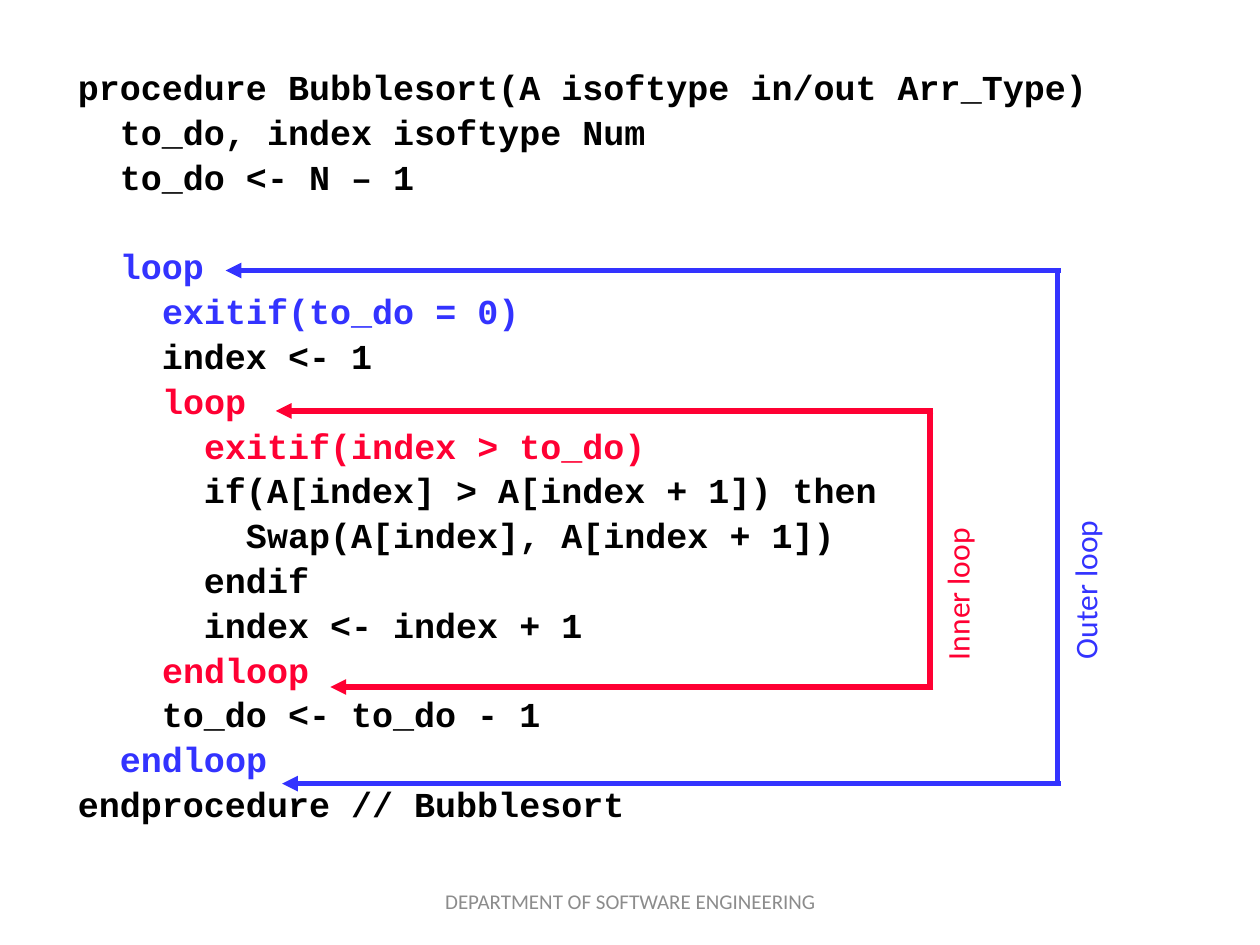
from dataclasses import dataclass
from lxml.etree import SubElement
from pptx import Presentation
from pptx.dml.color import RGBColor
from pptx.enum.shapes import MSO_CONNECTOR
from pptx.enum.text import MSO_ANCHOR, PP_ALIGN
from pptx.oxml.ns import qn
from pptx.util import Pt


@dataclass(frozen=True)
class Theme:
    """Colours, fonts and type sizes of the slide."""
    ink: str = "000000"
    outer: str = "3333FF"
    inner: str = "FF0033"
    grey: str = "8C8C8C"
    mono: str = "Courier New"
    sans: str = "Calibri"
    code: int = 20
    label: int = 18
    foot: int = 12
    rule: int = 3


THEME = Theme()
GAP = 4
PITCH = 25.6

CODE = [
    ("", "procedure Bubblesort(A isoftype in/out Arr_Type)", THEME.ink, 0),
    ("  ", "to_do, index isoftype Num", THEME.ink, GAP),
    ("  ", "to_do <- N – 1", THEME.ink, GAP),
    ("  ", "loop", THEME.outer, GAP + PITCH),
    ("    ", "exitif(to_do = 0)", THEME.outer, GAP),
    ("    ", "index <- 1", THEME.ink, GAP),
    ("    ", "loop", THEME.inner, GAP),
    ("      ", "exitif(index > to_do)", THEME.inner, GAP),
    ("      ", "if(A[index] > A[index + 1]) then", THEME.ink, GAP),
    ("        ", "Swap(A[index], A[index + 1])", THEME.ink, GAP),
    ("      ", "endif", THEME.ink, GAP),
    ("      ", "index <- index + 1", THEME.ink, GAP),
    ("    ", "endloop", THEME.inner, GAP),
    ("    ", "to_do <- to_do - 1", THEME.ink, GAP),
    ("  ", "endloop", THEME.outer, GAP),
    ("", "endprocedure // Bubblesort", THEME.ink, GAP),
]


def add_box(slide, left, top, width, height):
    """Add a wrapping text box."""
    box = slide.shapes.add_textbox(Pt(left), Pt(top), Pt(width), Pt(height))
    box.text_frame.word_wrap = True
    return box


def add_run(para, text, font, size, tone, bold=False):
    """Add one formatted run to a paragraph."""
    run = para.add_run()
    run.text = text
    run.font.name = font
    run.font.size = Pt(size)
    run.font.bold = bold
    run.font.color.rgb = RGBColor.from_string(tone)


def add_code(slide):
    """Add the listing, one paragraph for each line of code."""
    frame = add_box(slide, 37.4, 36.8, 649.4, 455.8).text_frame
    for row, (lead, text, tone, gap) in enumerate(CODE):
        para = frame.add_paragraph() if row else frame.paragraphs[0]
        para.line_spacing = 0.9
        para.space_before = Pt(gap)
        if lead:
            add_run(para, lead, THEME.mono, THEME.code, THEME.ink, True)
        add_run(para, text, THEME.mono, THEME.code, tone, True)


def add_line(slide, start, end, tone, arrow=False):
    """Add a straight line, with an arrowhead at its end if asked."""
    line = slide.shapes.add_connector(
        MSO_CONNECTOR.STRAIGHT, *map(Pt, start + end))
    line.line.color.rgb = RGBColor.from_string(tone)
    line.line.width = Pt(THEME.rule)
    if arrow:
        SubElement(line.line._get_or_add_ln(), qn("a:tailEnd"), type="triangle")
    SubElement(line._element.spPr, qn("a:effectLst"))


def add_loop(slide, side, top, base, tips, tone):
    """Add a bracket whose two arrows point at the ends of a loop."""
    for level, tip in zip((top, base), tips):
        add_line(slide, (side + 2, level), (tip, level), tone, True)
    add_line(slide, (side, top), (side, base), tone)


def add_label(slide, text, left, top, width, tone):
    """Add a label that reads upwards."""
    box = add_box(slide, left, top, width, 36)
    box.rotation = 270
    para = box.text_frame.paragraphs[0]
    add_run(para, text, THEME.sans, THEME.label, tone)


def add_foot(slide, text):
    """Add the centred footer."""
    frame = add_box(slide, 246.2, 500.4, 228.2, 28.8).text_frame
    frame.vertical_anchor = MSO_ANCHOR.MIDDLE
    para = frame.paragraphs[0]
    para.alignment = PP_ALIGN.CENTER
    add_run(para, text, THEME.sans, THEME.foot, THEME.grey)


def main():
    """Build and save the slide."""
    deck = Presentation()
    deck.slide_width, deck.slide_height = Pt(720), Pt(540)
    slide = deck.slides.add_slide(deck.slide_layouts[6])
    add_code(slide)
    add_loop(slide, 531.4, 234.8, 392.6, (157.6, 188.8), THEME.inner)
    add_loop(slide, 604.2, 154.6, 447.8, (129, 161.2), THEME.outer)
    add_label(slide, "Inner loop", 485.3, 301, 130.4, THEME.inner)
    add_label(slide, "Outer loop", 555.8, 298, 135.4, THEME.outer)
    add_foot(slide, "DEPARTMENT OF SOFTWARE ENGINEERING")
    deck.save("out.pptx")


if __name__ == "__main__":
    main()
